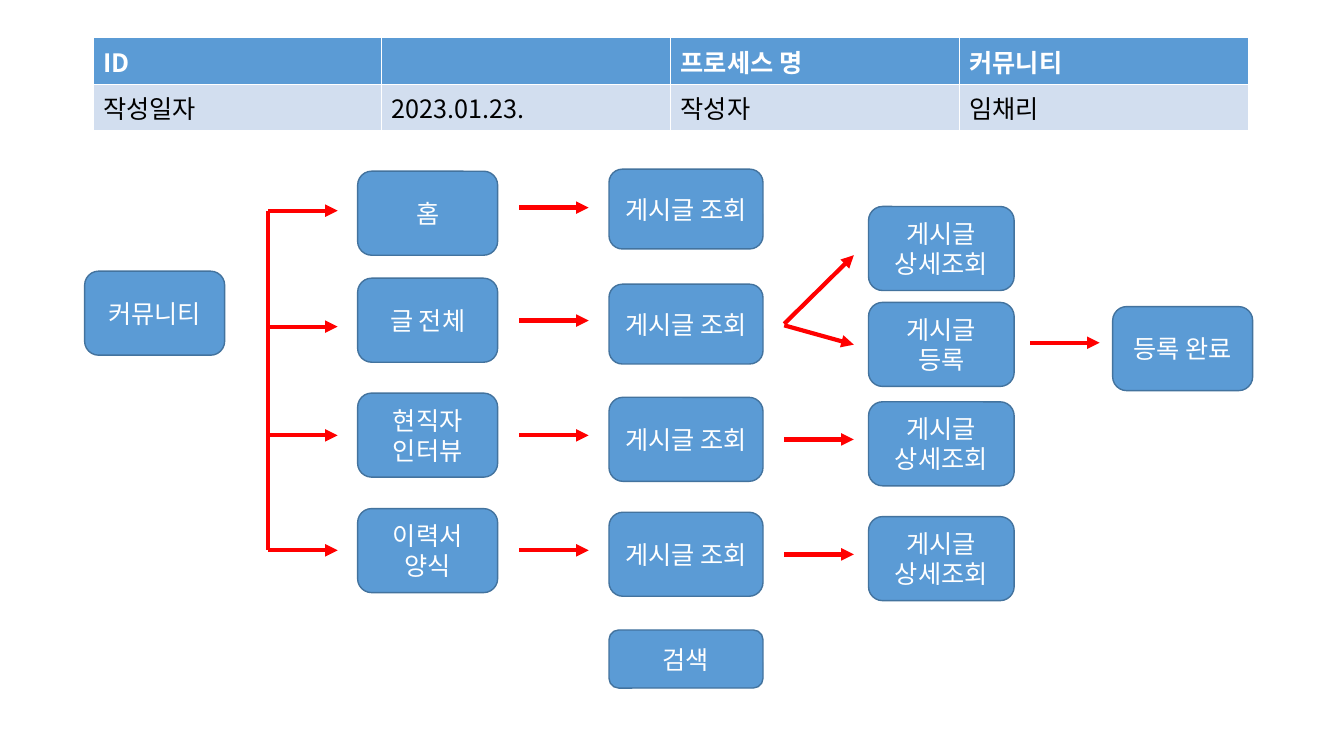
from itertools import pairwise

from lxml.etree import SubElement
from pptx import Presentation
from pptx.dml.color import RGBColor
from pptx.enum.shapes import MSO_CONNECTOR, MSO_SHAPE
from pptx.enum.text import MSO_ANCHOR, PP_ALIGN
from pptx.oxml.ns import qn
from pptx.util import Pt

FONT = "Noto Sans CJK KR"
COLORS = {
    "blue": "5B9BD5",
    "edge": "43739E",
    "pale": "D2DEEF",
    "red": "FF0000",
    "white": "FFFFFF",
    "black": "000000",
}
HEAD = [
    ["ID", "", "프로세스 명", "커뮤니티"],
    ["작성일자", "2023.01.23.", "작성자", "임채리"],
]
ARROW = 49.7
TRUNK = 191.5
ROWS = [150.5, 233.3, 311, 393.1]
# Each column of boxes: left, width, then (top, height, text)
BOXES = [
    (60.5, 100, [(193.7, 60, "커뮤니티")]),
    (255.5, 100, [
        (122.3, 60, "홈"),
        (198.7, 60, "글 전체"),
        (280.8, 60, "현직자\n인터뷰"),
        (363.3, 60, "이력서\n양식"),
    ]),
    (435, 110, [
        (120.8, 57, "게시글 조회"),
        (203, 57, "게시글 조회"),
        (283.8, 60, "게시글 조회"),
        (365.9, 60, "게시글 조회"),
        (450, 41.5, "검색"),
    ]),
    (620.4, 104, [
        (147.5, 60, "게시글 상세조회"),
        (216, 60, "게시글 등록"),
        (287, 60, "게시글 상세조회"),
        (369, 60, "게시글 상세조회"),
    ]),
    (794.8, 100, [(219, 60, "등록 완료")]),
]
# Level arrows: left end, heights
ARROWS = [
    (TRUNK, ROWS),
    (370.8, [148.3, 229, 311, 393.1]),
    (560.2, [313.9, 396]),
    (735.8, [244.8]),
]
FORKS = [(231.3, 182.3), (232.4, 246.2)]


def color(name):
    return RGBColor.from_string(COLORS[name])


def style(frame, tint, bold=False):
    for para in frame.paragraphs:
        for run in para.runs:
            font = run.font
            font.name, font.size, font.bold = FONT, Pt(18), bold
            font.color.rgb = color(tint)
            SubElement(font._element, qn("a:ea")).set("typeface", FONT)


def add_box(slide, left, top, width, height, text):
    box = slide.shapes.add_shape(
        MSO_SHAPE.ROUNDED_RECTANGLE, Pt(left), Pt(top), Pt(width), Pt(height))
    box.shadow.inherit = False
    box.fill.solid()
    box.fill.fore_color.rgb = color("blue")
    box.line.color.rgb = color("edge")
    box.line.width = Pt(1)
    frame = box.text_frame
    frame.text = text
    frame.word_wrap = True
    frame.vertical_anchor = MSO_ANCHOR.MIDDLE
    for para in frame.paragraphs:
        para.alignment = PP_ALIGN.CENTER
    style(frame, "white")


def add_line(slide, start, end, head=True):
    line = slide.shapes.add_connector(
        MSO_CONNECTOR.STRAIGHT, *map(Pt, start), *map(Pt, end))
    line.line.color.rgb = color("red")
    line.line.width = Pt(3)
    if head:
        SubElement(line.line._get_or_add_ln(), qn("a:tailEnd")).set("type", "triangle")
    SubElement(line._element.spPr, qn("a:effectLst"))


def add_border(cell):
    props = cell._tc.get_or_add_tcPr()
    for side in ("lnL", "lnR", "lnT", "lnB"):
        edge = SubElement(props, qn(f"a:{side}"), w=str(Pt(1)))
        fill = SubElement(edge, qn("a:solidFill"))
        SubElement(fill, qn("a:srgbClr"), val=COLORS["white"])


def add_head(slide):
    table = slide.shapes.add_table(
        2, 4, Pt(66.5), Pt(27), Pt(825.2), Pt(60.4)).table
    looks = [("blue", "white", True), ("pale", "black", False)]
    for r, (texts, (back, tint, bold)) in enumerate(zip(HEAD, looks)):
        for c, text in enumerate(texts):
            cell = table.cell(r, c)
            add_border(cell)
            cell.fill.solid()
            cell.fill.fore_color.rgb = color(back)
            cell.text_frame.text = text
            style(cell.text_frame, tint, bold)


def main():
    deck = Presentation()
    deck.slide_width, deck.slide_height = Pt(960), Pt(540)
    slide = deck.slides.add_slide(deck.slide_layouts[6])
    for left, width, boxes in BOXES:
        for top, height, text in boxes:
            add_box(slide, left, top, width, height, text)
    for top, low in pairwise(ROWS):
        add_line(slide, (TRUNK, top), (TRUNK, low), head=False)
    for left, levels in ARROWS:
        for y in levels:
            add_line(slide, (left, y), (left + ARROW, y))
    for y, end in FORKS:
        add_line(slide, (560.2, y), (560.2 + ARROW, end))
    add_head(slide)
    deck.save("out.pptx")


if __name__ == "__main__":
    main()
